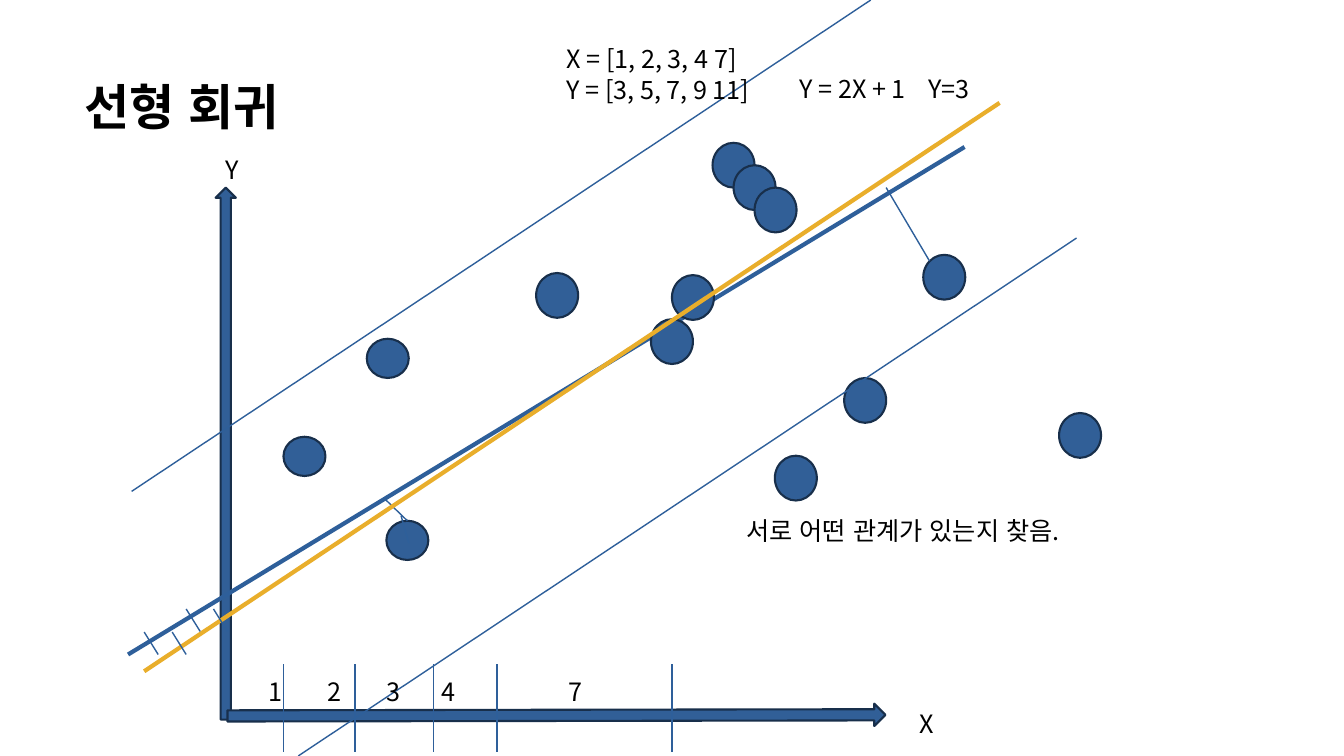
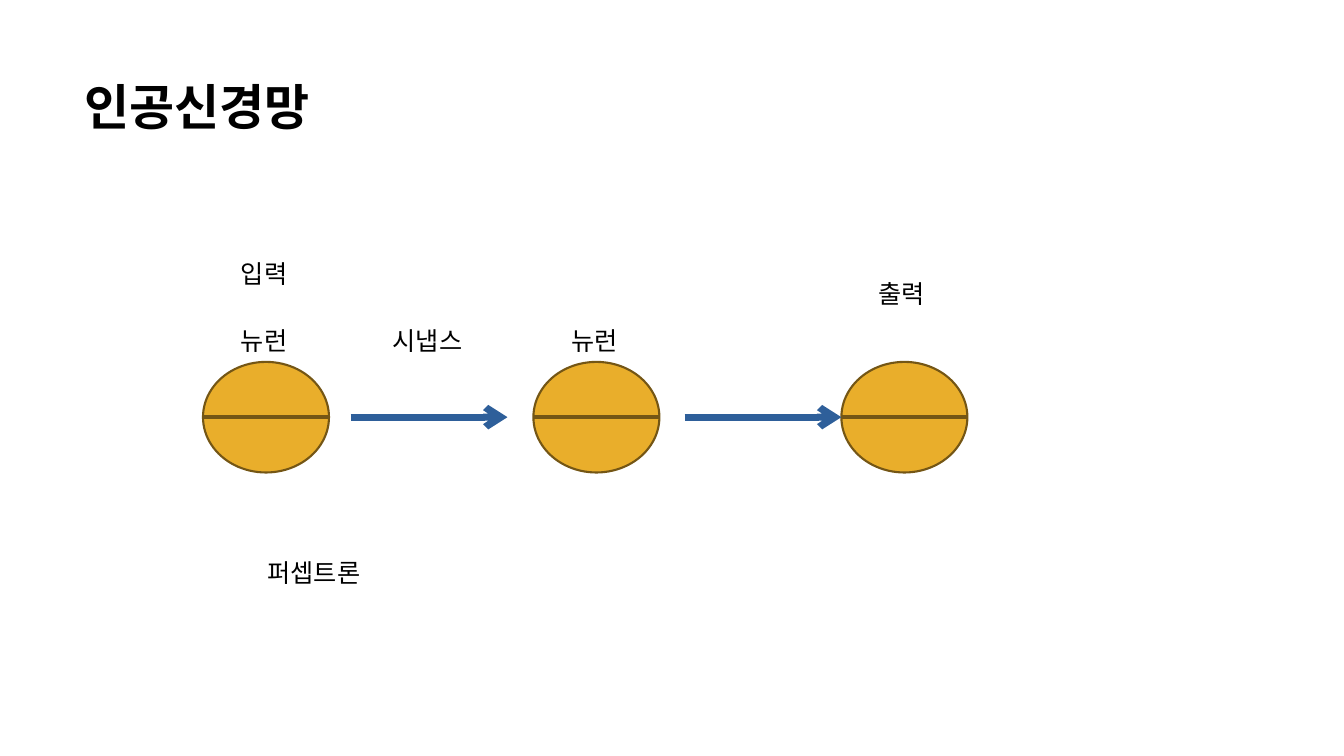
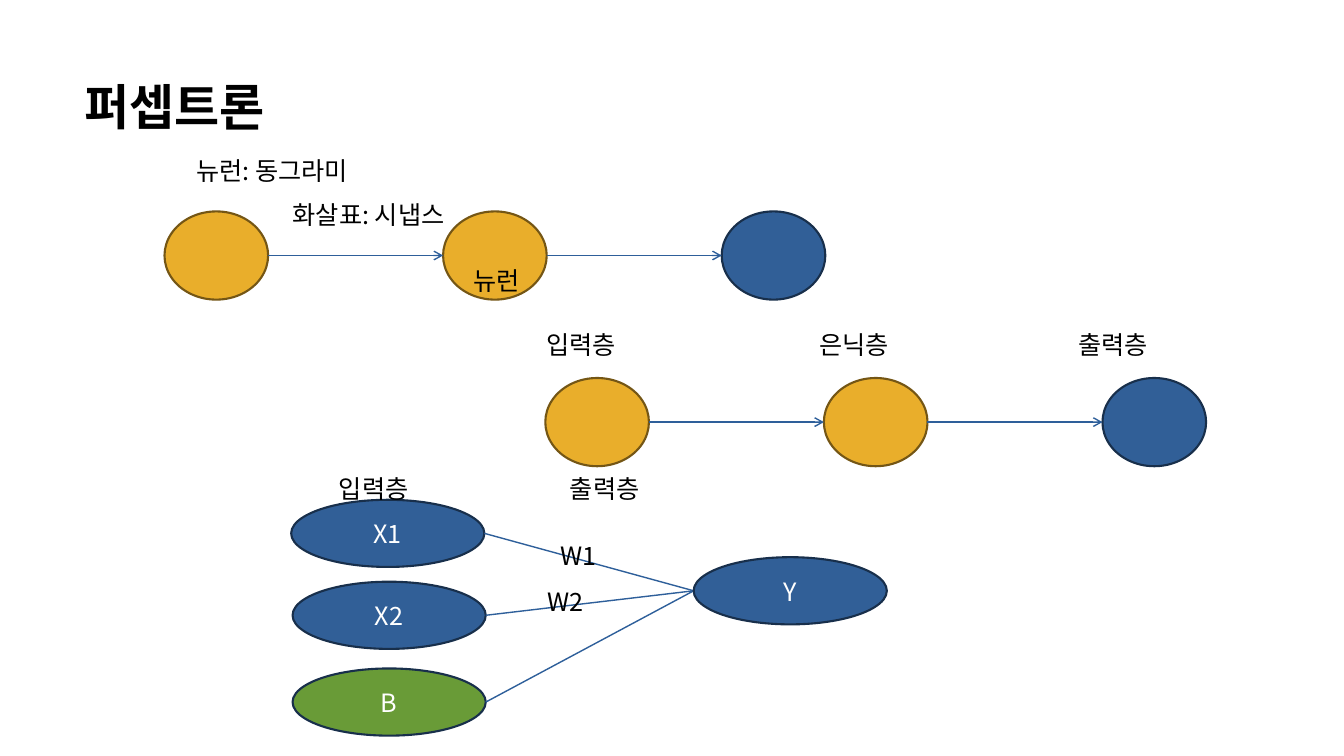
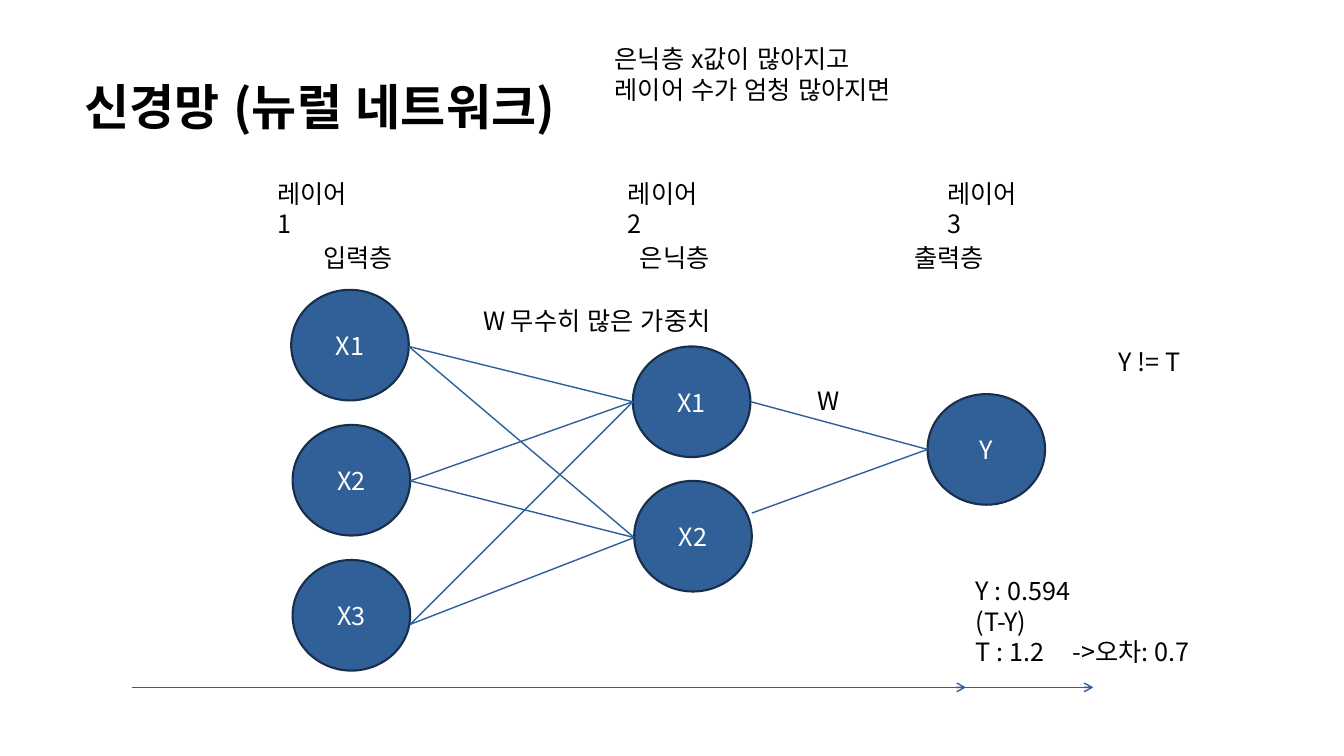
"""Four slides on linear regression, perceptrons and neural networks."""
from pptx import Presentation
from pptx.dml.color import RGBColor as Rgb
from pptx.enum.lang import MSO_LANGUAGE_ID as Lang
from pptx.enum.shapes import MSO_CONNECTOR as Link, MSO_SHAPE as Kind
from pptx.enum.text import MSO_ANCHOR as Anchor, MSO_AUTO_SIZE as Fit, PP_ALIGN as Align
from pptx.oxml.ns import qn
from pptx.util import Pt
from lxml.etree import SubElement

FONT = "Noto Sans CJK KR"
INK = {"blue": "315F97", "navy": "182F4B", "line": "2E5F9A", "gold": "E9AE2B",
       "brown": "745615", "green": "699B37", "black": "000000", "white": "FFFFFF"}
EDGE = {"blue": "navy", "gold": "brown", "green": "navy"}


def put(page, x, y, wide, high, text="", fill=None, kind=Kind.OVAL):
    """Add a filled shape, or a plain text box when no fill is given."""
    box = [Pt(n) for n in (x, y, wide, high)]
    if not fill:
        item = page.shapes.add_textbox(*box)
    else:
        item = page.shapes.add_shape(kind, *box)
        item.shadow.inherit = False
        item.fill.solid()
        item.fill.fore_color.rgb = Rgb.from_string(INK[fill])
        item.line.color.rgb = Rgb.from_string(INK[EDGE[fill]])
        item.line.width = Pt(1.5)
    item.text_frame.text = text
    return item


def join(page, x1, y1, x2, y2, ink="line", width=1, arrow=False):
    """Add a straight line, with an open arrowhead at its end if asked."""
    item = page.shapes.add_connector(Link.STRAIGHT, Pt(x1), Pt(y1), Pt(x2), Pt(y2))
    item.line.color.rgb = Rgb.from_string(INK[ink])
    item.line.width = Pt(width)
    props = item.element.spPr
    if arrow:
        SubElement(props.find(qn("a:ln")), qn("a:tailEnd"), type="arrow")
    SubElement(props, qn("a:effectLst"))


deck = Presentation()
deck.slide_width, deck.slide_height = Pt(960), Pt(540)
pages = []
for name in ("선형 회귀", "인공신경망", "퍼셉트론", "신경망 (뉴럴 네트워크)"):
    page = deck.slides.add_slide(deck.slide_layouts[5])
    title = page.shapes.title
    title.left, title.top, title.width, title.height = Pt(53), Pt(49), Pt(364), Pt(48)
    title.text_frame.text = name
    pages.append(page)
fit, neuron, layer, net = pages

put(fit, 154, 134, 14.5, 380, fill="blue", kind=Kind.UP_ARROW)
put(fit, 389.5, 276, 16, 470, fill="blue", kind=Kind.UP_ARROW).rotation = 89.9
join(fit, 91.5, 467.5, 689, 105, width=3)
for x, y in ((276, 372), (202.5, 312), (262, 242)):
    put(fit, x, y, 30, 28, fill="blue")
for x, y in ((553.5, 325.5), (480, 196.5), (465, 228), (383, 195), (509, 102), (524, 118),
             (539, 134), (603, 270), (756.5, 295), (659.5, 182)):
    put(fit, x, y, 30, 32, fill="blue")
for x in (202.5, 253.5, 309.5, 355, 480):
    join(fit, x, 537, x, 474)
for ends in ((213, 540, 769, 170), (94, 351, 622, 0), (633, 134, 664, 186.5),
             (275, 356.5, 291, 372), (286.5, 368.5, 292, 388)):
    join(fit, *ends)
join(fit, 103, 479.5, 714, 73.5, "gold", 3)
for x, y in ((103, 451.5), (123, 451.5), (133, 435), (152.5, 435)):
    join(fit, x, y, x + 10, y + 16)
for x, mark in ((185, "1"), (227, "2"), (269, "3"), (308, "4"), (399, "7")):
    put(fit, x, 478, 30, 29, mark)
for x, y, wide, text in ((397.5, 26, 170, "X = [1, 2, 3, 4 7]\nY = [3, 5, 7, 9 11]"),
                         (564, 47.5, 100, "Y = 2X + 1"), (656, 47.5, 60, "Y=3"),
                         (154, 105, 31, "Y"), (650, 501, 30, "X"),
                         (526, 363, 376, "서로 어떤 관계가 있는지 찾음.")):
    put(fit, x, y, wide, 29, text)

for x in (145, 381, 601):
    put(neuron, x, 258.5, 90, 79, fill="gold")
    join(neuron, x, 298, x + 90, 298, "brown", 3)
for x in (250.5, 489):
    join(neuron, x, 298, x + 112, 298, width=5, arrow=True)
for x, y, text in ((165, 227.5, "뉴런"), (273.5, 227.5, "시냅스"), (401, 227.5, "뉴런"),
                   (165, 179.5, "입력"), (620.5, 193.5, "출력"), (184, 393, "퍼셉트론")):
    put(neuron, x, y, 90, 29, text)

for left, top in ((117.5, 151), (389.5, 270)):
    for step, fill in enumerate(("gold", "gold", "blue")):
        x = left + 199 * step
        put(layer, x, top, 74, 63, fill=fill)
        if step:
            join(layer, x - 125, top + 31.5, x, top + 31.5, arrow=True)
for x, y, text, fill in ((208, 357, "X1", "blue"), (209, 415.5, "X2", "blue"),
                         (209, 477.5, "B", "green")):
    put(layer, x, y, 138, 48, text, fill)
    join(layer, x + 138, y + 24, 495.5, 422)
put(layer, 495.5, 398, 138, 48, "Y", "blue")
for x, y, text in ((133, 106, "뉴런: 동그라미"), (202, 137, "화살표: 시냅스"), (331, 184.5, "뉴런"),
                   (383, 230, "입력층"), (578, 230, "은닉층"), (763, 230, "출력층"),
                   (235, 333, "입력층"), (400, 333, "출력층"),
                   (393, 381, "W1"), (384, 413.5, "W2")):
    put(layer, x, y, 150, 29, text)

for x, y, text in ((208, 207, "X1"), (209, 303.5, "X2"), (209, 400, "X3"),
                   (452, 247.5, "X1"), (453, 343.5, "X2"), (662.5, 281.5, "Y")):
    put(net, x, y, 84, 79, text, "blue")
for x, y in ((292, 247.5), (293, 343.5), (293, 446)):
    join(net, x, y, 452, 287)
    join(net, x, y, 453, 384)
for x, y in ((537, 366.5), (536.5, 287)):
    join(net, x, y, 662.5, 321)
for x, end in ((208, 690), (94, 781)):
    join(net, x, 491, end, 491, arrow=True)
for x, y, wide, text in ((224, 168, 70, "입력층"), (450, 168, 70, "은닉층"), (646, 168, 70, "출력층"),
                         (191, 122, 66, "레이어 1"), (441.5, 122, 66, "레이어2"),
                         (669.5, 122, 66, "레이어 3"), (338, 213, 195, "W 무수히 많은 가중치"),
                         (577, 270, 40, "W"), (792, 242, 70, "Y != T"),
                         (432, 26, 230, "은닉층 x값이 많아지고\n레이어 수가 엄청 많아지면"),
                         (690, 406, 100, "Y : 0.594\n(T-Y)\nT : 1.2"),
                         (759, 449.5, 130, "->오차: 0.7")):
    put(net, x, y, wide, 29, text)

for page in pages:
    for item in page.shapes:
        if not item.has_text_frame or not item.text_frame.text:
            continue
        head = item.is_placeholder
        node = not head and item.fill.type == 1
        frame = item.text_frame
        frame.word_wrap = True
        frame.auto_size = Fit.NONE
        frame.vertical_anchor = Anchor.MIDDLE if node else Anchor.TOP
        frame.margin_left = frame.margin_right = Pt(7.2)
        frame.margin_top = Pt(3.6 if node else 5)
        for para in frame.paragraphs:
            para.alignment = Align.CENTER if node else Align.LEFT
            para.line_spacing = Pt(42.5 if head else 21.8)
            for run in para.runs:
                font = run.font
                font.name, font.bold, font.size = FONT, head, Pt(35 if head else 18)
                font.color.rgb = Rgb.from_string(INK["white" if node else "black"])
                font.language_id = Lang.KOREAN
                SubElement(run.font._element, qn("a:ea"), typeface=FONT)

deck.save("out.pptx")
